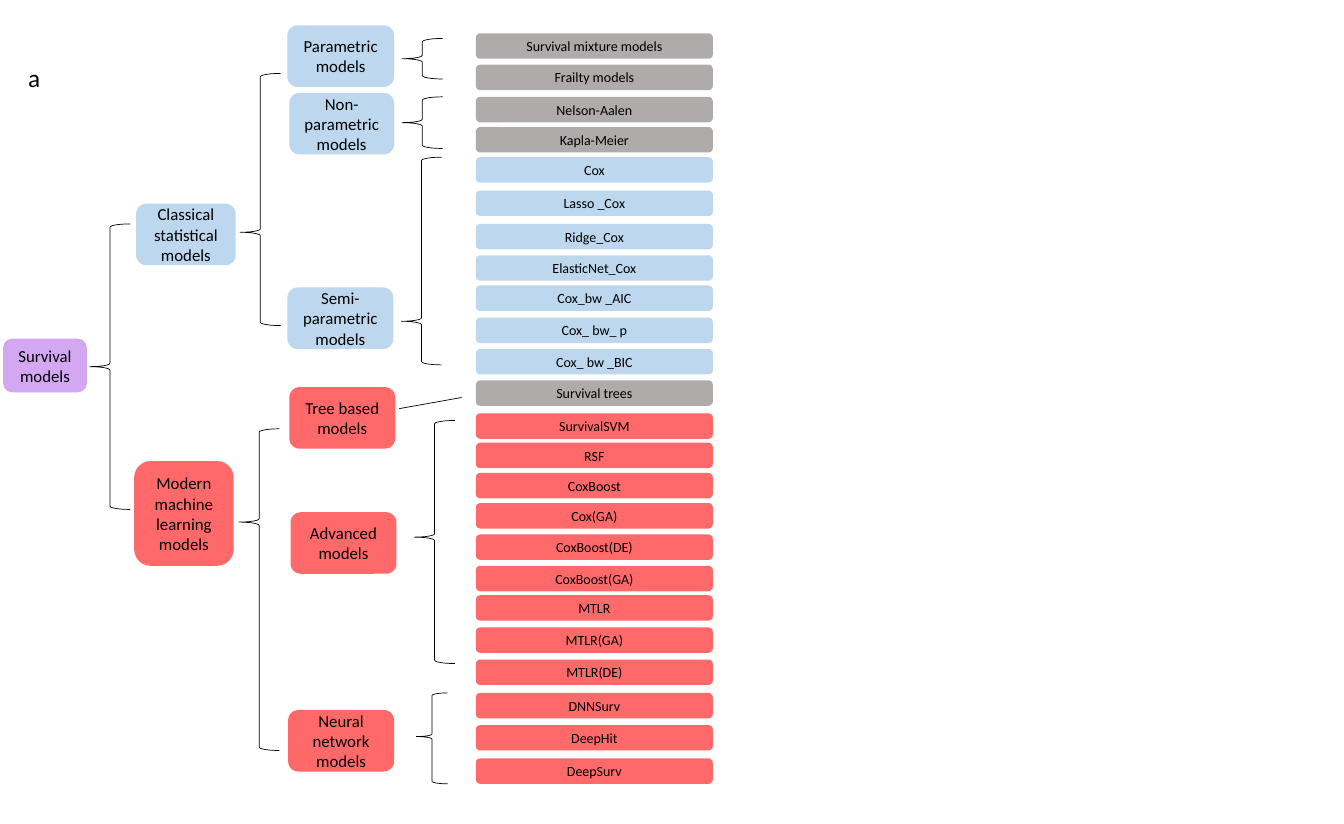
from collections import namedtuple

from lxml.etree import SubElement
from pptx import Presentation
from pptx.dml.color import RGBColor
from pptx.enum.shapes import MSO_CONNECTOR as Link, MSO_SHAPE as Preset
from pptx.enum.text import MSO_ANCHOR as Anchor, PP_ALIGN as Align
from pptx.oxml.ns import qn
from pptx.util import Cm, Pt

BLACK = RGBColor(0x00, 0x00, 0x00)
PURPLE = RGBColor(0xBD, 0x78, 0xEE)
BLUE = RGBColor(0xBD, 0xD7, 0xEE)
GREY = RGBColor(0xAF, 0xAB, 0xAB)
RED = RGBColor(0xFF, 0x00, 0x00)
OPACITY = {PURPLE: 65, RED: 59}

Box = namedtuple("Box", "left top width height")

MODELS = [
    ("Survival models", PURPLE, Box(0, 7.89, 2.11, 1.35)),
    ("Classical statistical models", BLUE, Box(3.35, 4.49, 2.51, 1.55)),
    ("Modern machine learning\nmodels", RED, Box(3.3, 10.97, 2.51, 2.64)),
    ("Parametric models", BLUE, Box(7.16, 0, 2.69, 1.55)),
    ("Non-parametric models", BLUE, Box(7.21, 1.7, 2.64, 1.55)),
    ("Semi-parametric models", BLUE, Box(7.16, 6.6, 2.67, 1.55)),
    ("Tree based models", RED, Box(7.21, 9.11, 2.67, 1.55)),
    ("Advanced models", RED, Box(7.24, 12.26, 2.67, 1.55)),
    ("Neural network models", RED, Box(7.18, 17.24, 2.67, 1.55)),
]
BRACES = [
    (Box(0, 4.67, 1.02, 7.19), 0.5),
    (Box(3.79, 0.88, 1.02, 6.35), 0.63),
    (Box(3.76, 9.83, 1.02, 8.1), 0.29),
    (Box(7.87, 0, 1.02, 1.02), 0.5),
    (Box(7.87, 1.47, 1.02, 1.3), 0.5),
    (Box(7.85, 2.99, 1.02, 5.23), 0.79),
    (Box(8.18, 9.62, 1.02, 6.12), 0.48),
    (Box(8.23, 16.48, 0.79, 2.29), 0.48),
]
TREE_LINK = (7.8, 9.32, 9.37, 9.04)
METHODS = [
    (GREY, {"Survival mixture models": 0, "Frailty models": 0.79,
            "Nelson-Aalen": 1.6, "Kapla-Meier": 2.36}),
    (BLUE, {"Cox": 3.12, "Lasso _Cox": 3.96, "Ridge_Cox": 4.8,
            "ElasticNet_Cox": 5.59, "Cox_bw _AIC": 6.35,
            "Cox_ bw_ p": 7.16, "Cox_ bw _BIC": 7.95}),
    (GREY, {"Survival trees": 8.74}),
    (RED, {"SurvivalSVM": 9.57, "RSF": 10.31, "CoxBoost": 11.07,
           "Cox(GA)": 11.83, "CoxBoost(DE)": 12.62, "CoxBoost(GA)": 13.41,
           "MTLR": 14.15, "MTLR(GA)": 14.96, "MTLR(DE)": 15.77,
           "DNNSurv": 16.61, "DeepHit": 17.42, "DeepSurv": 18.26}),
]
METHOD_HEIGHT = 0.64


def apply(target, values):
    """Set each named attribute on the target."""
    for name, value in values.items():
        setattr(target, name, value)


def inside(area, box):
    """Shift a box from the area's coordinates to the page's."""
    return box._replace(left=area.left + box.left, top=area.top + box.top)


def write(frame, text, size, align):
    """Fill a text frame with black Calibri text."""
    frame.word_wrap = True
    frame.text = text
    for para in frame.paragraphs:
        para.alignment = align
        for span in para.runs:
            apply(span.font, {"name": "Calibri", "size": Pt(size)})
            span.font.color.rgb = BLACK


def add_preset(page, preset, box):
    """Add a preset shape without shadow."""
    shape = page.shapes.add_shape(preset, *map(Cm, box))
    shape.shadow.inherit = False
    return shape


def style_line(line):
    """Make a line thin and black."""
    line.color.rgb = BLACK
    line.width = Pt(0.5)


def add_node(page, box, text, tint, size):
    """Add a rounded, tinted box with centred text."""
    node = add_preset(page, Preset.ROUNDED_RECTANGLE, box)
    node.fill.solid()
    node.fill.fore_color.rgb = tint
    node.line.fill.background()
    if tint in OPACITY:
        color = node.fill._xPr.find(".//" + qn("a:srgbClr"))
        SubElement(color, qn("a:alpha"), val=str(OPACITY[tint] * 1000))
    node.text_frame.vertical_anchor = Anchor.MIDDLE
    write(node.text_frame, text, size, Align.CENTER)


def draw_label(page, area):
    """Draw the panel letter."""
    label = page.shapes.add_textbox(*map(Cm, area))
    write(label.text_frame, "a", 18, Align.LEFT)


def draw_models(page, area):
    """Draw the root, its branches and the model families."""
    for text, tint, box in MODELS:
        add_node(page, inside(area, box), text, tint, 12)


def draw_links(page, area):
    """Draw the braces and the single line to the survival trees."""
    for box, tip in BRACES:
        brace = add_preset(page, Preset.LEFT_BRACE, inside(area, box))
        brace.adjustments[1] = tip
        brace.fill.background()
        style_line(brace.line)
    start_x, start_y, end_x, end_y = TREE_LINK
    link = page.shapes.add_connector(
        Link.STRAIGHT, Cm(area.left + start_x), Cm(area.top + start_y),
        Cm(area.left + end_x), Cm(area.top + end_y))
    style_line(link.line)
    SubElement(link._element.spPr, qn("a:effectLst"))


def draw_methods(page, area):
    """Draw the column of individual methods."""
    for tint, tops in METHODS:
        for text, top in tops.items():
            box = Box(0, top, area.width, METHOD_HEIGHT)
            add_node(page, inside(area, box), text, tint, 10)


def main():
    """Build and save the deck."""
    deck = Presentation()
    apply(deck, {"slide_width": Cm(33.86), "slide_height": Cm(20.75)})
    page = deck.slides.add_slide(deck.slide_layouts[6])
    draw_label(page, Box(0.46, 1.45, 1.04, 1.02))
    draw_models(page, Box(0.08, 0.64, 9.91, 18.79))
    draw_links(page, Box(2.26, 0.97, 9.37, 18.77))
    draw_methods(page, Box(11.99, 0.84, 5.97, 18.9))
    deck.save("out.pptx")


main()
